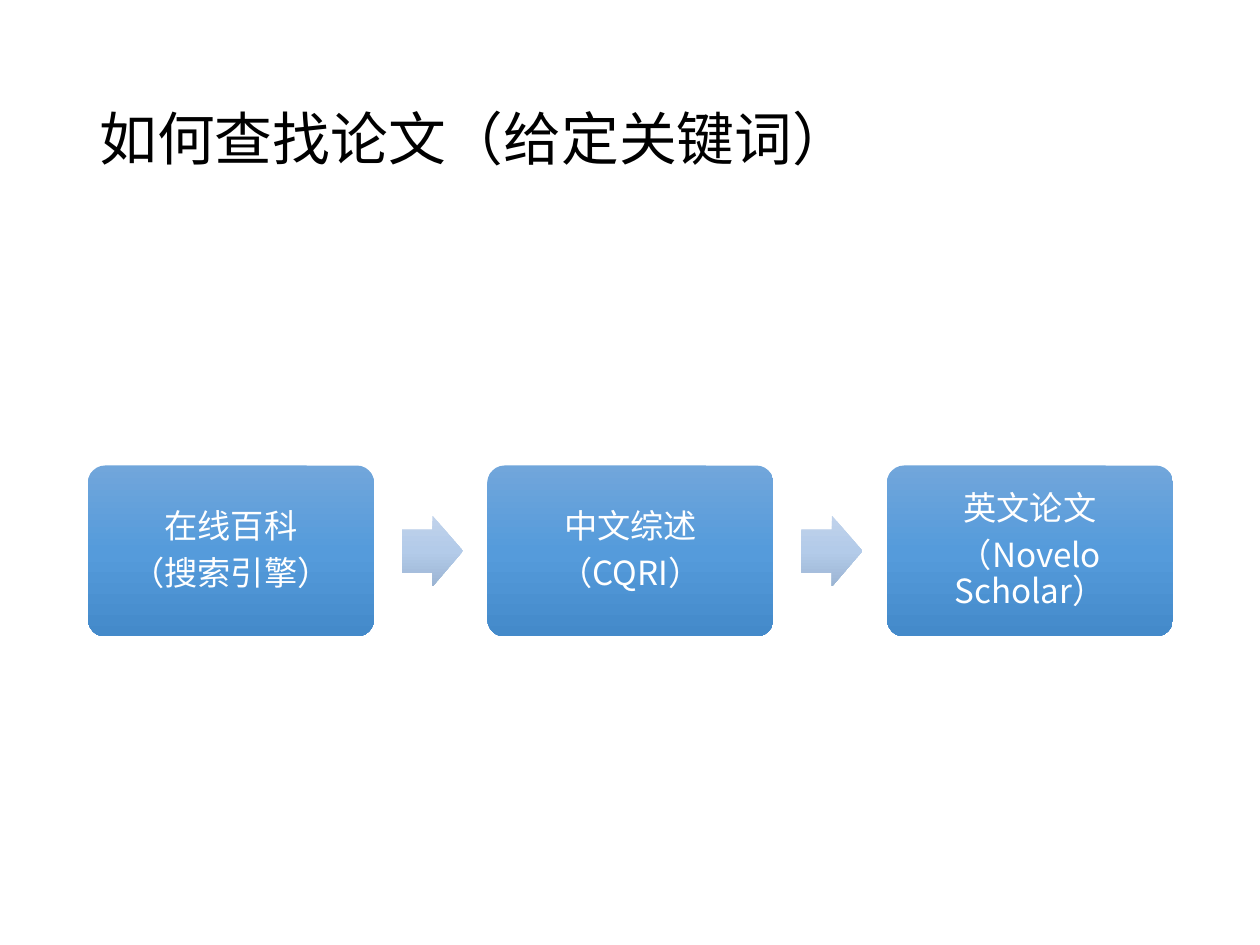
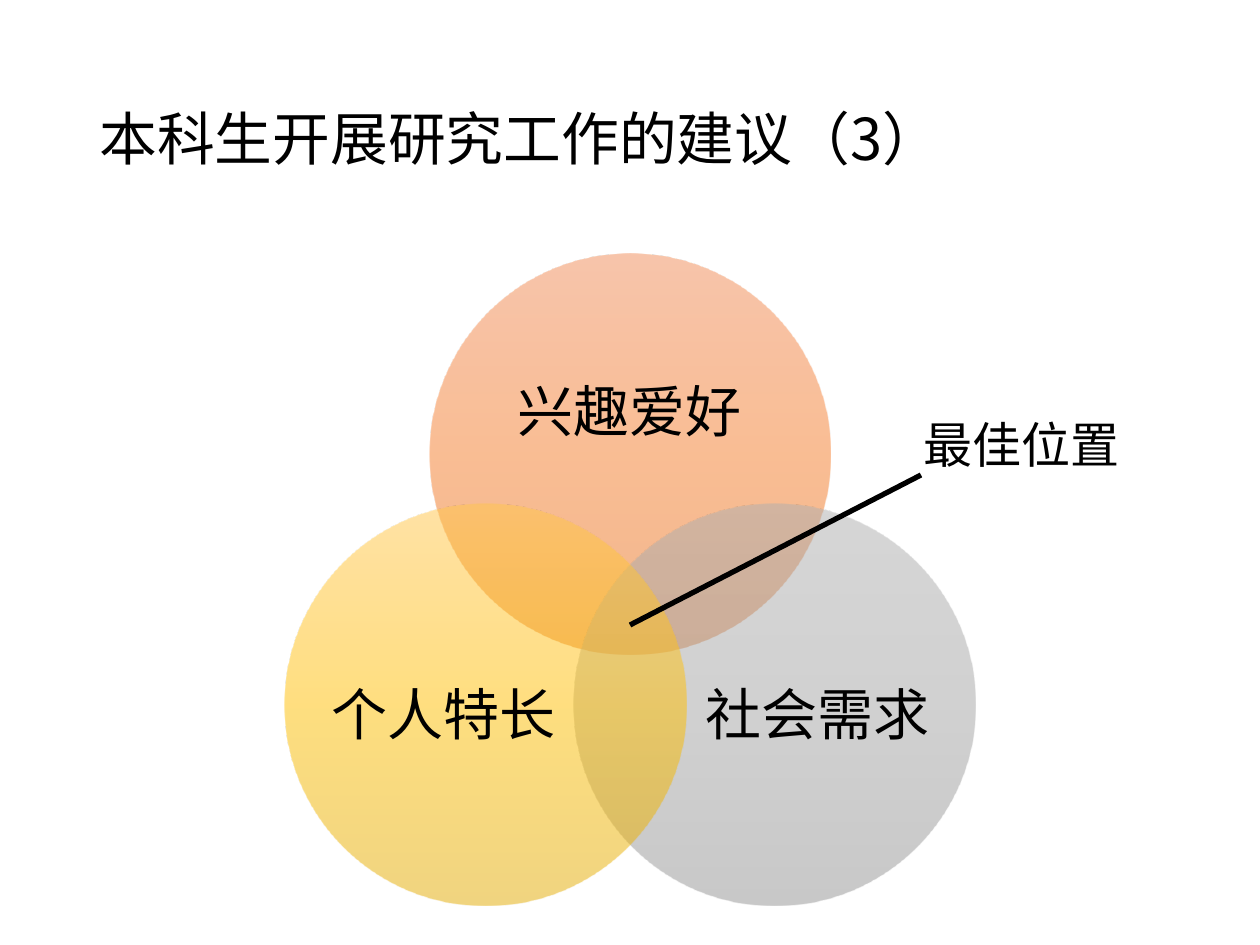
import math
from dataclasses import dataclass

from lxml import etree
from pptx import Presentation
from pptx.dml.color import RGBColor
from pptx.enum.shapes import MSO_CONNECTOR, MSO_SHAPE
from pptx.enum.text import MSO_ANCHOR, PP_ALIGN
from pptx.oxml.ns import qn
from pptx.util import Emu, Pt

STRAIGHT = MSO_CONNECTOR.STRAIGHT
ROUNDED = MSO_SHAPE.ROUNDED_RECTANGLE
ARROW = MSO_SHAPE.RIGHT_ARROW
OVAL = MSO_SHAPE.OVAL
MIDDLE = MSO_ANCHOR.MIDDLE
TOP = MSO_ANCHOR.TOP
LEFT = PP_ALIGN.LEFT
CENTER = PP_ALIGN.CENTER

PX_PER_INCH = 126
BLANK_LAYOUT = 6


@dataclass(frozen=True)
class Theme:
    font: str = "Noto Sans CJK SC"
    circle_font: str = "Arial"
    ink: str = "000000"
    white: str = "FFFFFF"
    step_fill: tuple = ("71A6DB", "559BDB", "448ACA")
    arrow_fill: tuple = ("C0D2EB", "B3CBE9", "9BB4D3")
    orange: tuple = ("F18C57", "F67B28", "E56C19")
    gray: tuple = ("AFAFAF", "A5A5A5", "939393")
    yellow: tuple = ("FFC64B", "FFC000", "E3AB00")
    title_size: int = 33
    step_size: int = 19
    circle_size: int = 32
    label_size: int = 28


THEME = Theme()


def px(length):
    return Emu(round(length * 914400 / PX_PER_INCH))


def fill_gradient(shape, colors, opacity=100):
    shape.fill.gradient()
    shape.fill.gradient_angle = 270
    stops = shape.fill._xPr.find(qn("a:gradFill")).find(qn("a:gsLst"))
    for stop in list(stops):
        stops.remove(stop)
    for index, value in enumerate(colors):
        stop = etree.SubElement(stops, qn("a:gs"), pos=str(index * 50000))
        color = etree.SubElement(stop, qn("a:srgbClr"), val=value)
        if opacity < 100:
            etree.SubElement(color, qn("a:alpha"), val=str(opacity * 1000))


def write_text(shape, text, *, size, color=THEME.ink, font=THEME.font, align=LEFT,
               anchor=MIDDLE, line_spacing=0.9, space_after=0, margin=None, wrap=True):
    frame = shape.text_frame
    frame.word_wrap = wrap
    frame.vertical_anchor = anchor
    if margin is not None:
        frame.margin_left = frame.margin_right = px(margin)
        frame.margin_top = frame.margin_bottom = px(margin)
    for index, line in enumerate(text.split("\n")):
        para = frame.add_paragraph() if index else frame.paragraphs[0]
        para.alignment = align
        para.line_spacing = line_spacing
        para.space_after = Pt(space_after)
        span = para.add_run()
        span.text = line
        span.font.size = Pt(size)
        span.font.name = font
        span.font.color.rgb = RGBColor.from_string(color)
        latin = span.font._element.find(qn("a:latin"))
        latin.addnext(latin.makeelement(qn("a:ea"), {"typeface": THEME.font}))


def add_text(page, text, left, top, width, height, **text_format):
    box = page.shapes.add_textbox(px(left), px(top), px(width), px(height))
    write_text(box, text, **text_format)


def add_filled(page, kind, left, top, width, height, colors, opacity=100, adjustments=()):
    shape = page.shapes.add_shape(kind, px(left), px(top), px(width), px(height))
    shape.shadow.inherit = False
    for index, value in enumerate(adjustments):
        shape.adjustments[index] = value
    fill_gradient(shape, colors, opacity)
    shape.line.fill.background()
    return shape


def add_line(page, start, end, weight):
    line = page.shapes.add_connector(STRAIGHT, *map(px, start + end))
    line.line.color.rgb = RGBColor.from_string(THEME.ink)
    line.line.width = Pt(weight)
    etree.SubElement(line._element.spPr, qn("a:effectLst"))


def add_page(deck, title):
    page = deck.slides.add_slide(deck.slide_layouts[BLANK_LAYOUT])
    add_text(page, title, 87, 50, 1086, 183, size=THEME.title_size)
    return page


def add_steps(page, steps, left=88, right=1173, middle=551, width=286, height=171):
    arrow_width, arrow_height = 61, 71
    pitch = (right - left - width) / (len(steps) - 1)
    for index, text in enumerate(steps):
        step_left = left + index * pitch
        if index:
            arrow_left = step_left - pitch + width + 28
            add_filled(page, ARROW, arrow_left, middle - arrow_height / 2, arrow_width,
                       arrow_height, THEME.arrow_fill, adjustments=(0.6, 0.5))
        step = add_filled(page, ROUNDED, step_left, middle - height / 2, width, height,
                          THEME.step_fill, adjustments=(0.1,))
        write_text(step, text, size=THEME.step_size, color=THEME.white, align=CENTER,
                   space_after=6.5, margin=10)


def add_venn(page, circles, center, spread=167, diameter=401):
    for index, (text, colors, text_area) in enumerate(circles):
        angle = math.radians(index * 360 / len(circles) - 90)
        left = center[0] + spread * math.cos(angle) - diameter / 2
        top = center[1] + spread * math.sin(angle) - diameter / 2
        add_filled(page, OVAL, left, top, diameter, diameter, colors, opacity=50)
        add_text(page, text, *text_area, size=THEME.circle_size, font=THEME.circle_font,
                 align=CENTER, space_after=11, margin=0)


def main():
    deck = Presentation()
    deck.slide_width, deck.slide_height = px(1260), px(945)

    search_page = add_page(deck, "如何查找论文（给定关键词）")
    add_steps(search_page, [
        "在线百科\n（搜索引擎）",
        "中文综述\n（CQRI）",
        "英文论文\n（Novelo Scholar）",
    ])

    advice_page = add_page(deck, "本科生开展研究工作的建议（3）")
    add_venn(advice_page, [
        ("兴趣爱好", THEME.orange, (483, 324, 294, 180)),
        ("社会需求", THEME.gray, (697, 607, 241, 221)),
        ("个人特长", THEME.yellow, (323, 607, 241, 221)),
    ], center=(630, 621))
    add_line(advice_page, (630, 625), (921, 475), weight=3)
    add_text(advice_page, "最佳位置", 911, 408, 223, 72, size=THEME.label_size,
             anchor=TOP, line_spacing=1.0, wrap=False)

    deck.save("out.pptx")


if __name__ == "__main__":
    main()
